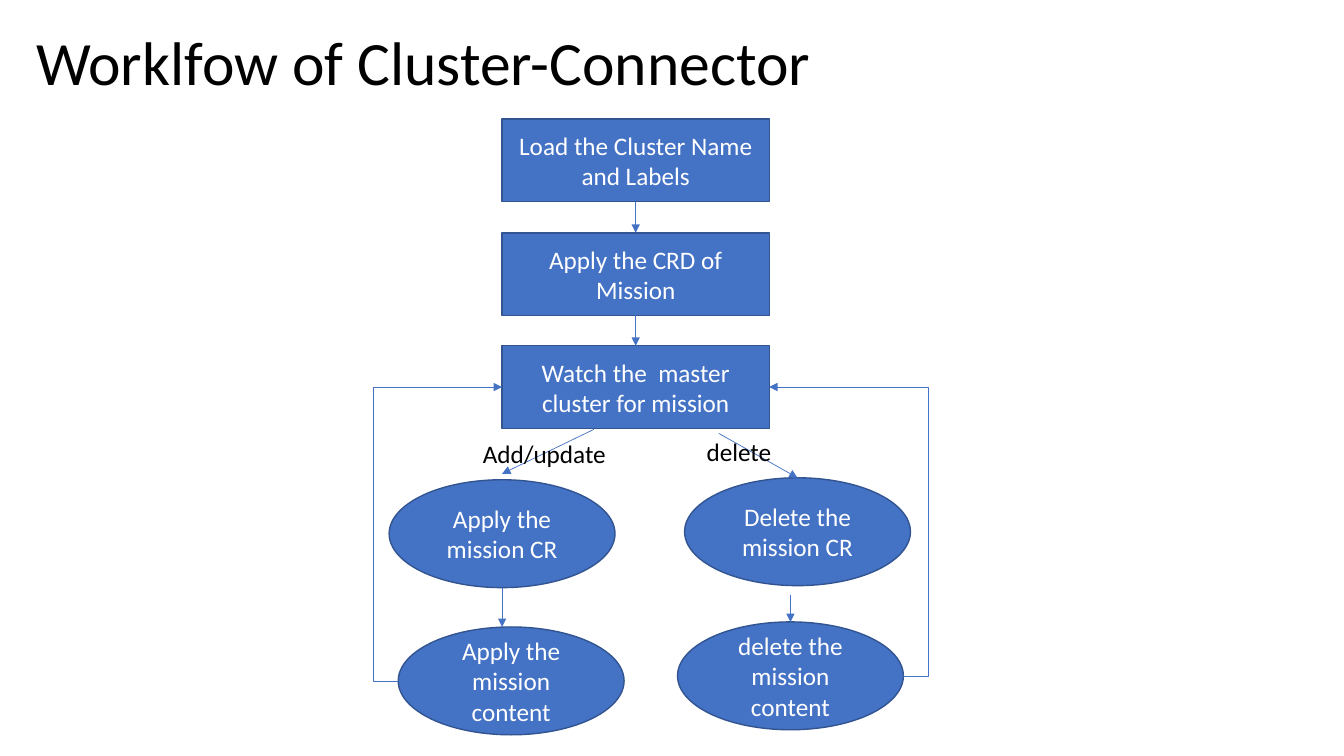
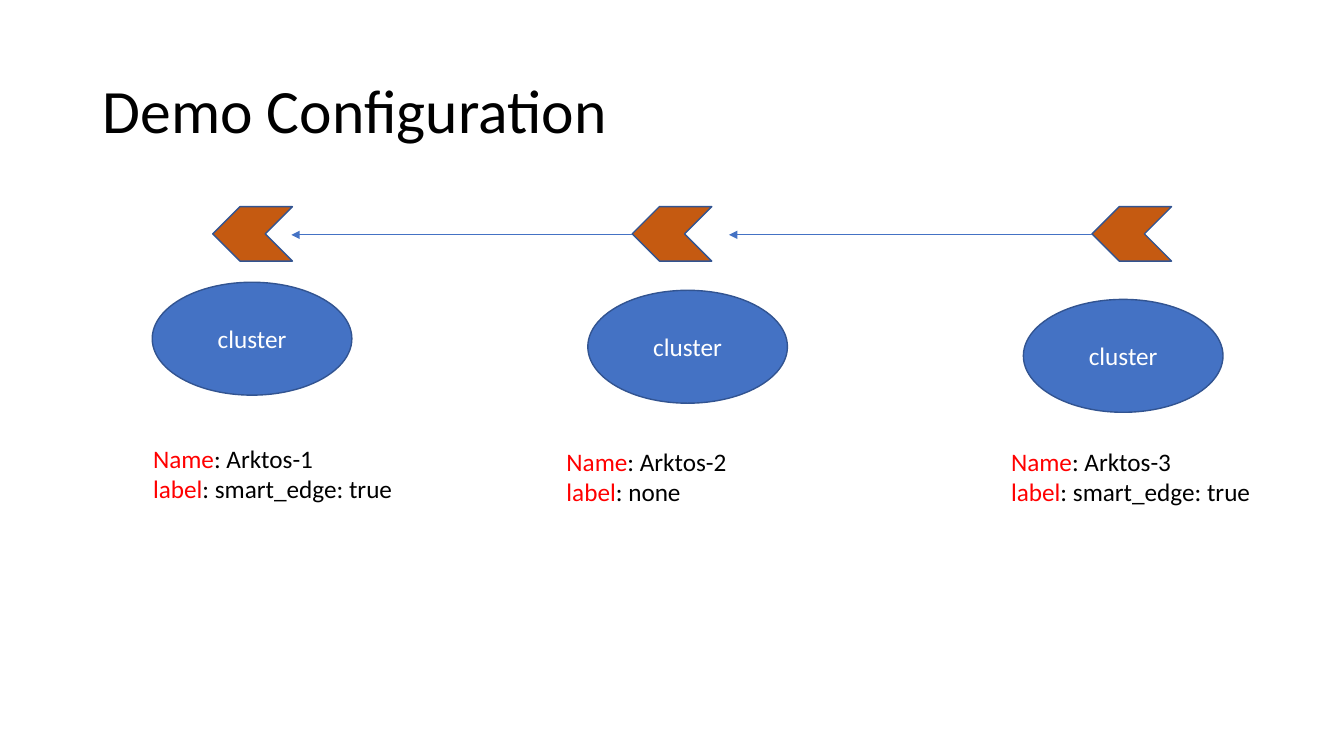
from pptx import Presentation
from pptx.dml.color import RGBColor
from pptx.enum import shapes, text
from pptx.oxml import ns
from pptx.util import Inches, Pt
from lxml import etree

# Shared style
FONT = "Calibri"
BLUE = RGBColor(0x44, 0x72, 0xC4)
OUTLINE = RGBColor(0x32, 0x54, 0x91)
ORANGE = RGBColor(0xC5, 0x5A, 0x11)
RED = RGBColor(0xFF, 0x00, 0x00)
BLACK = RGBColor(0x00, 0x00, 0x00)
WHITE = RGBColor(0xFF, 0xFF, 0xFF)
RECT = shapes.MSO_SHAPE.RECTANGLE
OVAL = shapes.MSO_SHAPE.OVAL
CHEVRON = shapes.MSO_SHAPE.CHEVRON
TOP, LEFT, BOTTOM, RIGHT = range(4)  # connection sites of a rectangle


def style_run(r, color, size=18):
    for name, value in {"name": FONT, "size": Pt(size)}.items():
        setattr(r.font, name, value)
    r.font.color.rgb = color


def add_slide(prs, title, left, top):
    s = prs.slides.add_slide(prs.slide_layouts[5])
    box = {"left": left, "top": top, "width": 11.5, "height": 1.45}
    for name, value in box.items():
        setattr(s.shapes.title, name, Inches(value))
    tf = s.shapes.title.text_frame
    tf.vertical_anchor = text.MSO_ANCHOR.MIDDLE
    p = tf.paragraphs[0]
    p.alignment = text.PP_ALIGN.LEFT
    p.line_spacing = 0.9
    r = p.add_run()
    r.text = title
    style_run(r, BLACK, 44)
    return s


def add_node(s, kind, box, label="", fill=BLUE):
    sp = s.shapes.add_shape(kind, *map(Inches, box))
    sp.shadow.inherit = False
    sp.fill.solid()
    sp.fill.fore_color.rgb = fill
    sp.line.color.rgb = OUTLINE
    sp.line.width = Pt(1)
    if label:
        tf = sp.text_frame
        tf.word_wrap = True
        tf.vertical_anchor = text.MSO_ANCHOR.MIDDLE
        p = tf.paragraphs[0]
        p.alignment = text.PP_ALIGN.CENTER
        r = p.add_run()
        r.text = label
        style_run(r, WHITE)
    return sp


def add_label(s, box, lines):
    """Each line is a list of (words, colour) pairs."""
    tf = s.shapes.add_textbox(*map(Inches, box)).text_frame
    tf.word_wrap = False
    tf.auto_size = text.MSO_AUTO_SIZE.SHAPE_TO_FIT_TEXT
    p = tf.paragraphs[0]
    for i, line in enumerate(lines):
        if i:
            p.add_line_break()
        for words, color in line:
            r = p.add_run()
            r.text = words
            style_run(r, color)


def add_arrow(s, start, end, lane=None, start_on=None, end_on=None):
    """Straight arrow, or an elbow through the vertical lane at x = lane."""
    kinds = shapes.MSO_CONNECTOR
    kind = kinds.STRAIGHT if lane is None else kinds.ELBOW
    line = s.shapes.add_connector(kind, *map(Inches, (*start, *end)))
    if start_on:
        line.begin_connect(*start_on)
    if end_on:
        line.end_connect(*end_on)
    line.line.color.rgb = BLUE
    line.line.width = Pt(0.5)
    props = line._element.spPr
    etree.SubElement(props.find(ns.qn("a:ln")), ns.qn("a:tailEnd"), type="triangle")
    etree.SubElement(props, ns.qn("a:effectLst"))
    if lane is not None:
        bend = round((lane - start[0]) / (end[0] - start[0]) * 100000)
        guides = props.find(ns.qn("a:prstGeom")).get_or_add_avLst()
        etree.SubElement(guides, ns.qn("a:gd"), name="adj1", fmla=f"val {bend}")


def build_workflow(prs):
    s = add_slide(prs, "Worklfow of Cluster-Connector", 0.26, -0.07)

    # Main chain of steps
    steps = [(1.18, "Load the Cluster Name and Labels"),
             (2.31, "Apply the CRD of Mission"),
             (3.43, "Watch the  master cluster for mission")]
    chain = [add_node(s, RECT, (4.98, top, 2.65, 0.82), label) for top, label in steps]
    watch = chain[-1]

    # Add/update and delete branches
    for left, top, label in [(3.95, 6.22, "Apply the mission content"),
                             (6.72, 6.17, "delete the mission content"),
                             (3.86, 4.76, "Apply the mission CR"),
                             (6.79, 4.74, "Delete the mission CR")]:
        add_node(s, OVAL, (left, top, 2.24, 1.07), label)

    # Arrows down the chain and the branches
    for upper, lower in zip(chain, chain[1:]):
        add_arrow(s, (6.3, 2), (6.3, 2.31),
                  start_on=(upper, BOTTOM), end_on=(lower, TOP))
    for start, end in [((5.89, 4.26), (4.98, 4.7)), ((7.13, 4.3), (7.91, 4.74)),
                       ((4.98, 5.83), (4.98, 6.22)), ((7.84, 5.9), (7.84, 6.17))]:
        add_arrow(s, start, end)

    # Loops back to the watch step
    add_arrow(s, (3.95, 6.76), (4.98, 3.84), lane=3.7, end_on=(watch, LEFT))
    add_arrow(s, (8.96, 6.71), (7.63, 3.84), lane=9.21, end_on=(watch, RIGHT))

    # Branch labels
    add_label(s, (4.69, 4.3, 1.44, 0.4), [[("Add/update", BLACK)]])
    add_label(s, (6.91, 4.28, 0.85, 0.4), [[("delete", BLACK)]])


def build_demo(prs):
    s = add_slide(prs, "Demo Configuration", 0.92, 0.4)

    # One column per cluster: chevron left, oval top, label box, label value
    columns = [(2.11, 2.8, (1.42, 4.35, 2.6, 0.71), "smart_edge: true"),
               (6.27, 2.88, (5.52, 4.38, 1.8, 0.71), "none"),
               (10.83, 2.97, (9.93, 4.38, 2.6, 0.71), "smart_edge: true")]
    for i, (chevron_left, oval_top, label_box, value) in enumerate(columns):
        add_node(s, OVAL, (1.51 + 4.32 * i, oval_top, 1.98, 1.12), "cluster")
        chevron = add_node(s, CHEVRON, (chevron_left, 2.05, 0.79, 0.54), fill=ORANGE)
        chevron.rotation = 180
        add_label(s, label_box, [[("Name", RED), (f": Arktos-{i + 1}", BLACK)],
                                 [("label", RED), (f": {value}", BLACK)]])

    # Links between neighbouring clusters
    for start, end in [(6.27, 2.89), (10.83, 7.23)]:
        add_arrow(s, (start, 2.33), (end, 2.33))


def main():
    prs = Presentation()
    prs.slide_width, prs.slide_height = Inches(13.33), Inches(7.5)
    build_workflow(prs)
    build_demo(prs)
    prs.save("out.pptx")


if __name__ == "__main__":
    main()
